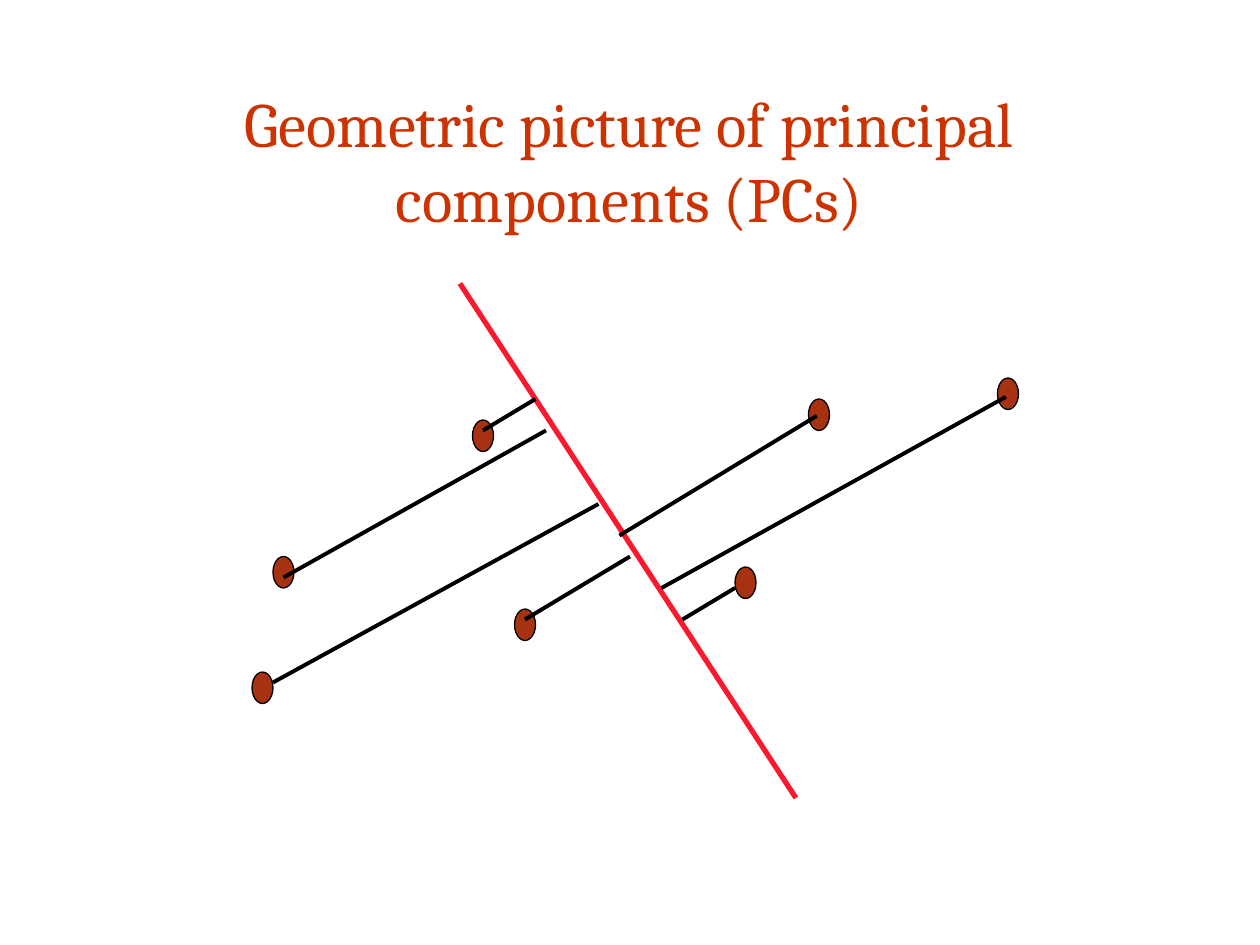
from lxml.etree import SubElement
from pptx import Presentation
from pptx.dml.color import RGBColor
from pptx.enum.shapes import MSO_CONNECTOR, MSO_SHAPE
from pptx.enum.text import MSO_ANCHOR, PP_ALIGN
from pptx.oxml.ns import qn
from pptx.util import Inches, Pt

CELLS_PER_INCH = 12
POINT_COLUMNS, POINT_ROWS = 2, 3

DATA_POINTS = [(95, 36), (26, 53), (24, 64), (49, 58), (45, 40), (70, 54), (77, 38)]
PRINCIPAL_AXIS = ((43.8, 27), (75.8, 76))
PROJECTIONS = [
    ((46, 41), (51, 38)),
    ((59, 51), (77.8, 39.6)),
    ((65, 59), (70, 56)),
    ((26, 65), (57, 48)),
    ((27, 55), (52, 41)),
    ((50, 59), (60, 53)),
    ((63, 56), (95.8, 37.8)),
]


def color(hex_string):
    return RGBColor.from_string(hex_string)


def cells(count):
    return Inches(count / CELLS_PER_INCH)


def write_title(slide, wording):
    title = slide.shapes.title
    title.left, title.top = Inches(0.6), Inches(0.48)
    title.width, title.height = Inches(8.79), Inches(1.58)
    frame = title.text_frame
    frame.text = wording
    frame.word_wrap = True
    frame.vertical_anchor = MSO_ANCHOR.MIDDLE
    paragraph = frame.paragraphs[0]
    paragraph.alignment = PP_ALIGN.CENTER
    font = paragraph.runs[0].font
    font.name, font.size = "Cambria", Pt(36)
    font.color.rgb = color("CC3300")


def add_data_point(slide, column, row):
    point = slide.shapes.add_shape(
        MSO_SHAPE.OVAL, cells(column), cells(row), cells(POINT_COLUMNS), cells(POINT_ROWS)
    )
    point.shadow.inherit = False
    point.fill.solid()
    point.fill.fore_color.rgb = color("A63212")
    point.line.color.rgb = color("000000")
    point.line.width = Pt(0.75)


def add_segment(shapes, start, end, hex_string, weight):
    ends = [cells(count) for count in (*start, *end)]
    segment = shapes.add_connector(MSO_CONNECTOR.STRAIGHT, *ends)
    segment.line.color.rgb = color(hex_string)
    segment.line.width = Pt(weight)
    SubElement(segment._element.spPr, qn("a:effectLst"))


def main():
    deck = Presentation()
    deck.slide_width, deck.slide_height = Inches(10), Inches(7.5)
    slide = deck.slides.add_slide(deck.slide_layouts[5])
    write_title(slide, "Geometric picture of principal components (PCs)")
    add_segment(slide.shapes, *PRINCIPAL_AXIS, "FB192F", 3)
    for column, row in DATA_POINTS:
        add_data_point(slide, column, row)
    projections = slide.shapes.add_group_shape()
    for start, end in PROJECTIONS:
        add_segment(projections.shapes, start, end, "000000", 2.25)
    deck.save("out.pptx")


if __name__ == "__main__":
    main()
